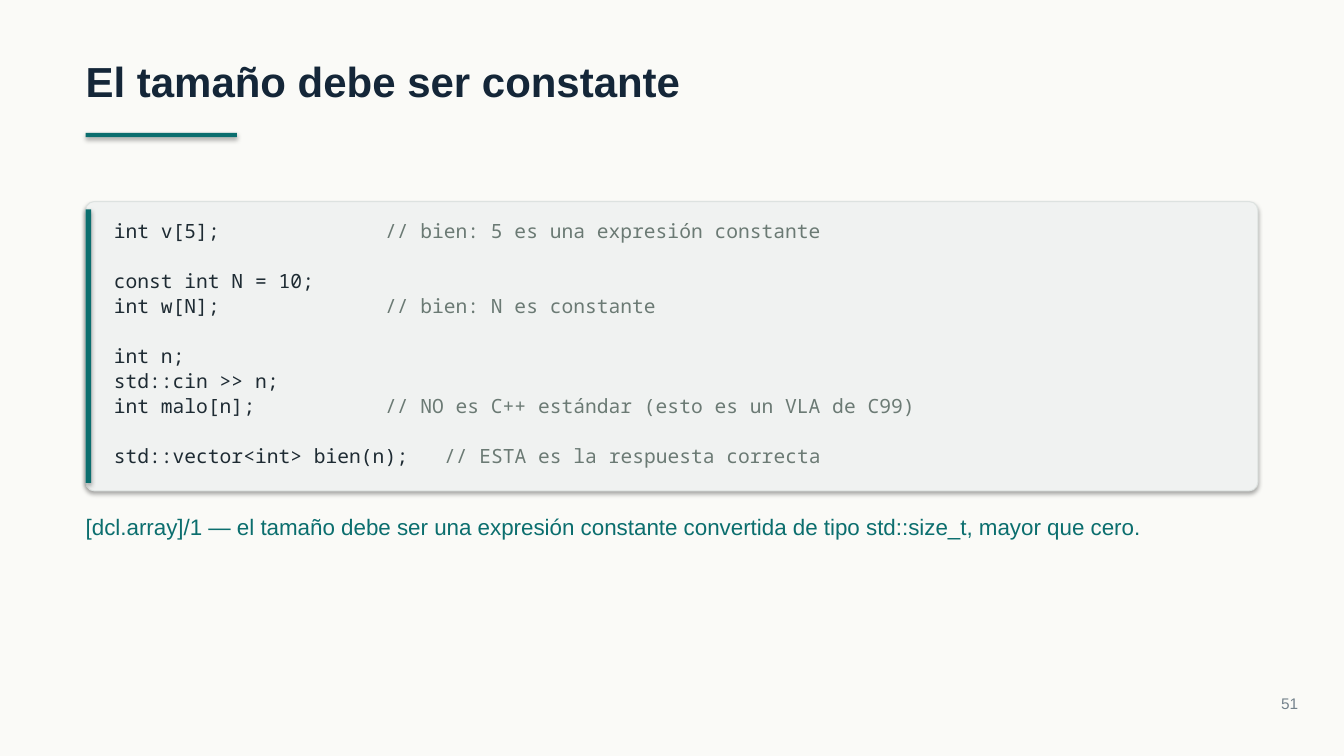
from pptx import Presentation
from pptx.dml.color import RGBColor
from pptx.enum import shapes, text
from pptx.util import Cm, Pt

PAPER = RGBColor(0xFA, 0xFA, 0xF7)
NAVY = RGBColor(0x14, 0x26, 0x38)
TEAL = RGBColor(0x0B, 0x6E, 0x6E)
PANEL = RGBColor(0xF0, 0xF2, 0xF1)
PANEL_EDGE = RGBColor(0xDD, 0xE2, 0xE0)
CODE_INK = RGBColor(0x1E, 0x2B, 0x33)
COMMENT_INK = RGBColor(0x6B, 0x7A, 0x74)
PAGE_INK = RGBColor(0x74, 0x82, 0x8C)

SANS = "Arial"
MONO = "Noto Sans Mono"
MARGIN = Cm(2.16)
CONTENT_WIDTH = Cm(29.54)

CODE = """\
int v[5];              // bien: 5 es una expresión constante

const int N = 10;
int w[N];              // bien: N es constante

int n;
std::cin >> n;
int malo[n];           // NO es C++ estándar (esto es un VLA de C99)

std::vector<int> bien(n);   // ESTA es la respuesta correcta"""


def add_frame(s, left, top, width, height):
    """Add an empty text box without margins and return its text frame."""
    tf = s.shapes.add_textbox(left, top, width, height).text_frame
    tf.margin_left = tf.margin_top = tf.margin_right = tf.margin_bottom = 0
    tf.word_wrap = True
    tf.auto_size = text.MSO_AUTO_SIZE.SHAPE_TO_FIT_TEXT
    return tf


def set_font(font, name, size, color, bold=False):
    font.name = name
    font.size = Pt(size)
    font.bold = bold
    font.color.rgb = color


def add_label(s, left, top, width, height, words, size, color,
              bold=False, align=text.PP_ALIGN.LEFT):
    p = add_frame(s, left, top, width, height).paragraphs[0]
    p.text = words
    p.alignment = align
    set_font(p.font, SANS, size, color, bold)


def add_block(s, kind, left, top, width, height, fill):
    """Add a filled shape that keeps the soft shadow of the theme."""
    sp = s.shapes.add_shape(kind, left, top, width, height)
    sp.fill.solid()
    sp.fill.fore_color.rgb = fill
    sp.line.fill.background()
    return sp


def add_bar(s, left, top, width, height):
    add_block(s, shapes.MSO_SHAPE.RECTANGLE, left, top, width, height, TEAL)


def add_panel(s, left, top, width, height):
    sp = add_block(s, shapes.MSO_SHAPE.ROUNDED_RECTANGLE,
                   left, top, width, height, PANEL)
    sp.adjustments[0] = 0.03
    sp.line.color.rgb = PANEL_EDGE
    sp.line.width = Pt(0.75)
    inset = Cm(0.2)
    add_bar(s, left, top + inset, Cm(0.14), height - 2 * inset)


def add_code(s, left, top, width, height, code):
    """Write one paragraph per line of code, with its // comment in grey."""
    tf = add_frame(s, left, top, width, height)
    for i, line in enumerate(code.split("\n")):
        p = tf.add_paragraph() if i else tf.paragraphs[0]
        p.line_spacing = 1.06
        statement, slashes, remark = line.partition("//")
        # A blank line of code holds one space, so it keeps the code height
        pieces = [(statement or " ", CODE_INK), (slashes + remark, COMMENT_INK)]
        for words, color in pieces:
            if words:
                r = p.add_run()
                r.text = words
                set_font(r.font, MONO, 14, color)


def main():
    prs = Presentation()
    prs.slide_width, prs.slide_height = Cm(33.87), Cm(19.05)
    s = prs.slides.add_slide(prs.slide_layouts[6])
    s.background.fill.solid()
    s.background.fill.fore_color.rgb = PAPER

    add_label(s, MARGIN, Cm(1.4), CONTENT_WIDTH, Cm(1.27),
              "El tamaño debe ser constante", 30, NAVY, bold=True)
    add_bar(s, MARGIN, Cm(3.35), Cm(3.81), Cm(0.11))
    add_panel(s, MARGIN, Cm(5.08), CONTENT_WIDTH, Cm(7.29))
    add_code(s, Cm(2.87), Cm(5.49), Cm(28.4), Cm(6.27), CODE)
    add_label(s, MARGIN, Cm(12.93), CONTENT_WIDTH, Cm(0.69),
              "[dcl.array]/1 — el tamaño debe ser una expresión constante "
              "convertida de tipo std::size_t, mayor que cero.", 16, TEAL)
    add_label(s, Cm(30.43), Cm(17.48), Cm(2.29), Cm(0.46), "51", 11, PAGE_INK,
              align=text.PP_ALIGN.RIGHT)
    prs.save("out.pptx")


if __name__ == "__main__":
    main()
